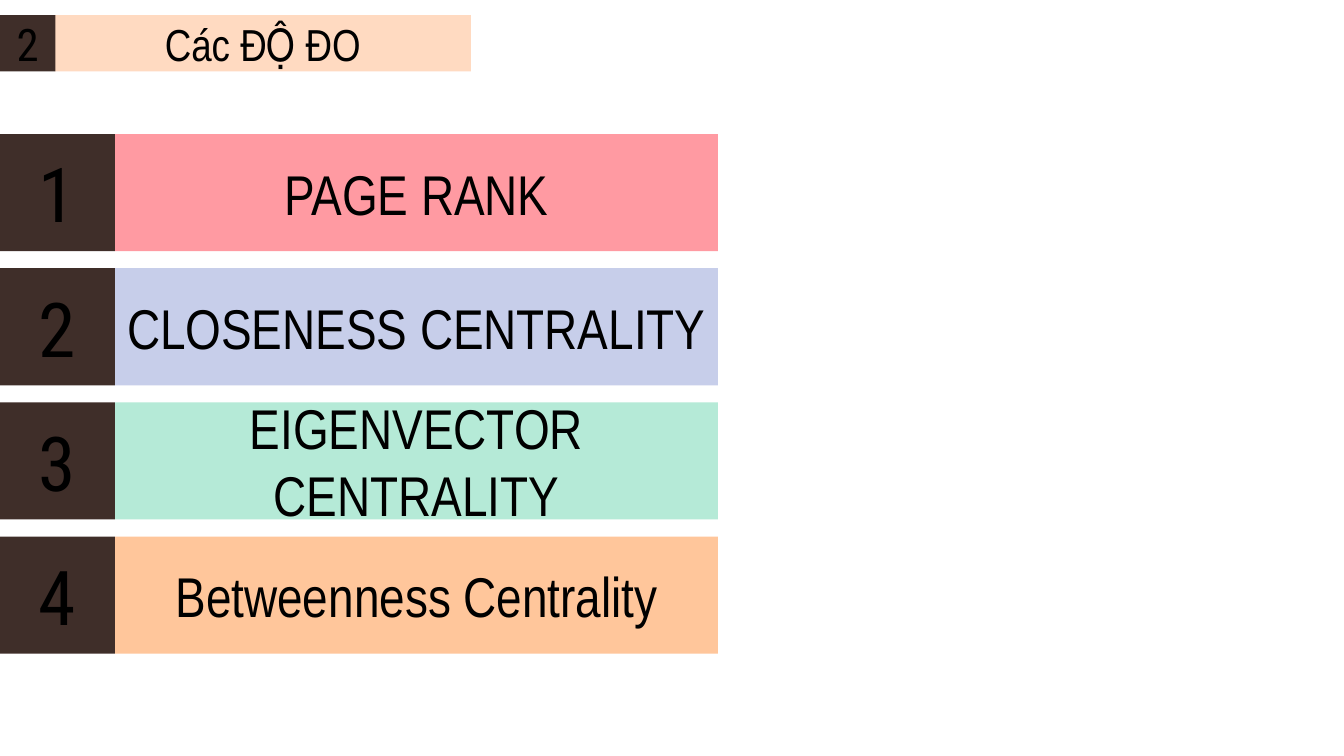
from pptx import Presentation
from pptx import util as u
from pptx.dml.color import RGBColor
from pptx.enum import shapes, text


def color(value):
    return RGBColor.from_string(value)


class Deck:
    DARK, INK = "3F2E29", "000000"
    LABEL_FONT, NUMBER_FONT = "Arial Narrow", "Roboto Condensed"

    def __init__(self, width, height):
        self.prs = Presentation()
        self.prs.slide_width, self.prs.slide_height = u.Cm(width), u.Cm(height)
        self.s = None

    def add_slide(self):
        self.s = self.prs.slides.add_slide(self.prs.slide_layouts[5])

    def style(self, sp, words, fill, font, size):
        sp.fill.solid()
        sp.fill.fore_color.rgb = color(fill)
        sp.line.fill.background()
        tf = sp.text_frame
        tf.text = words
        tf.word_wrap = True
        tf.auto_size = text.MSO_AUTO_SIZE.NONE
        tf.vertical_anchor = text.MSO_ANCHOR.MIDDLE
        p = tf.paragraphs[0]
        p.alignment = text.PP_ALIGN.CENTER
        p.font.name, p.font.size = font, u.Pt(size)
        p.font.color.rgb = color(self.INK)

    def title(self, words, left, top, width, height, fill, size):
        sp = self.s.shapes.title
        sp.left, sp.top = u.Cm(left), u.Cm(top)
        sp.width, sp.height = u.Cm(width), u.Cm(height)
        self.style(sp, words, fill, self.LABEL_FONT, size)

    def box(self, parent, words, left, top, width, height, fill, font, size):
        sp = parent.add_shape(shapes.MSO_SHAPE.RECTANGLE, u.Cm(left),
                              u.Cm(top), u.Cm(width), u.Cm(height))
        sp.shadow.inherit = False
        self.style(sp, words, fill, font, size)

    def number(self, parent, n, top, width, height, size):
        self.box(parent, str(n), 0, top, width, height,
                 self.DARK, self.NUMBER_FONT, size)

    def row(self, n, words, top, fill):
        number_w, label_w, height = 2.9, 15.19, 2.95
        group = self.s.shapes.add_group_shape().shapes
        self.box(group, words, number_w, top, label_w, height,
                 fill, self.LABEL_FONT, 40)
        self.number(group, n, top, number_w, height, 54)


def main():
    deck = Deck(33.87, 19.05)
    deck.add_slide()

    # Section heading
    deck.title("Các ĐỘ ĐO", 1.38, 0.38, 10.49, 1.42, "FFDAC1", 32)
    deck.number(deck.s.shapes, 2, 0.38, 1.4, 1.42, 32)

    # Numbered measures
    measures = [
        ("PAGE RANK", "FF9AA2"),
        ("CLOSENESS CENTRALITY", "C7CEEA"),
        ("EIGENVECTOR CENTRALITY", "B5EAD7"),
        ("Betweenness Centrality", "FFC69B"),
    ]
    pitch = 3.38
    for n, (words, fill) in enumerate(measures, 1):
        deck.row(n, words, n * pitch, fill)

    deck.prs.save("out.pptx")


if __name__ == "__main__":
    main()
